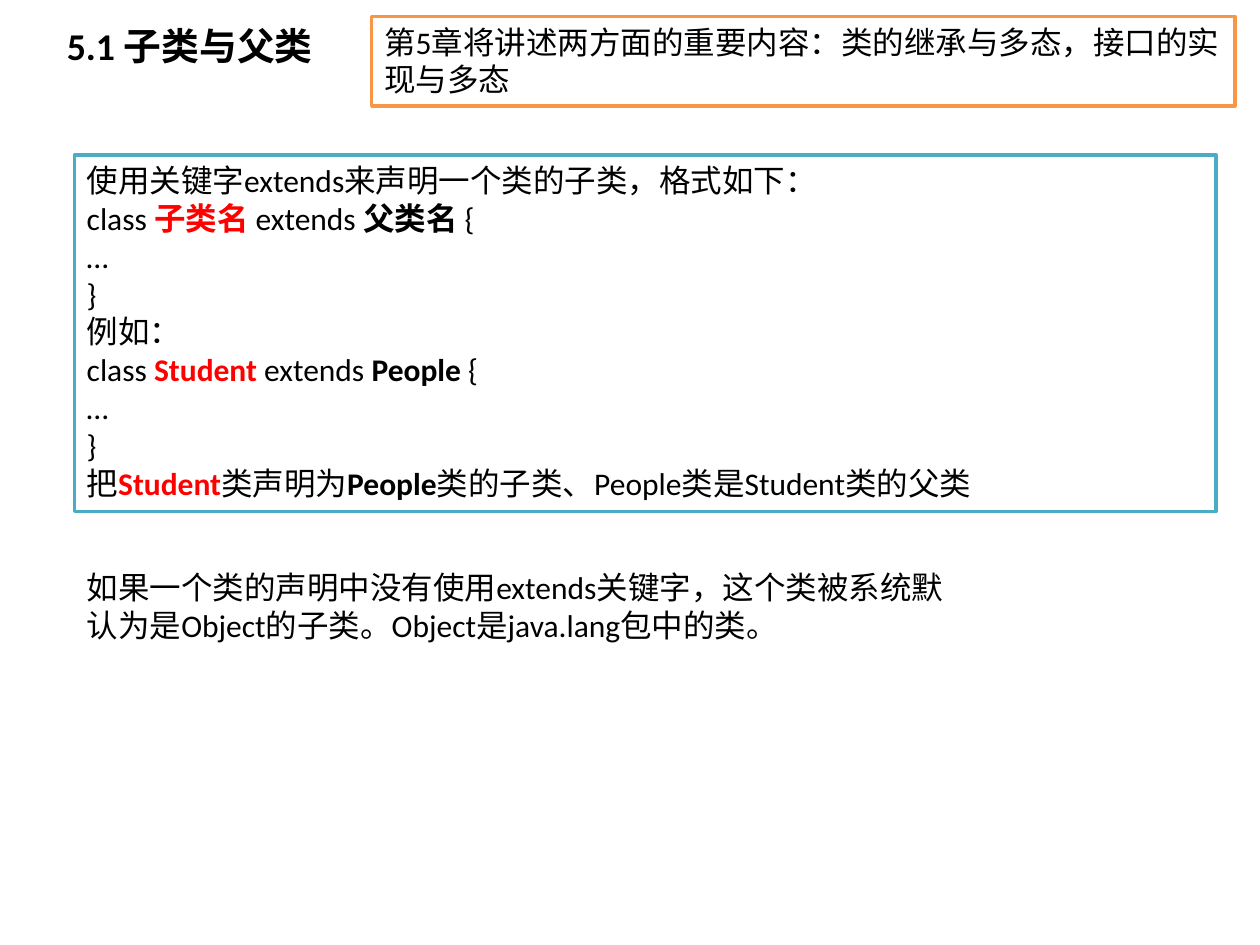
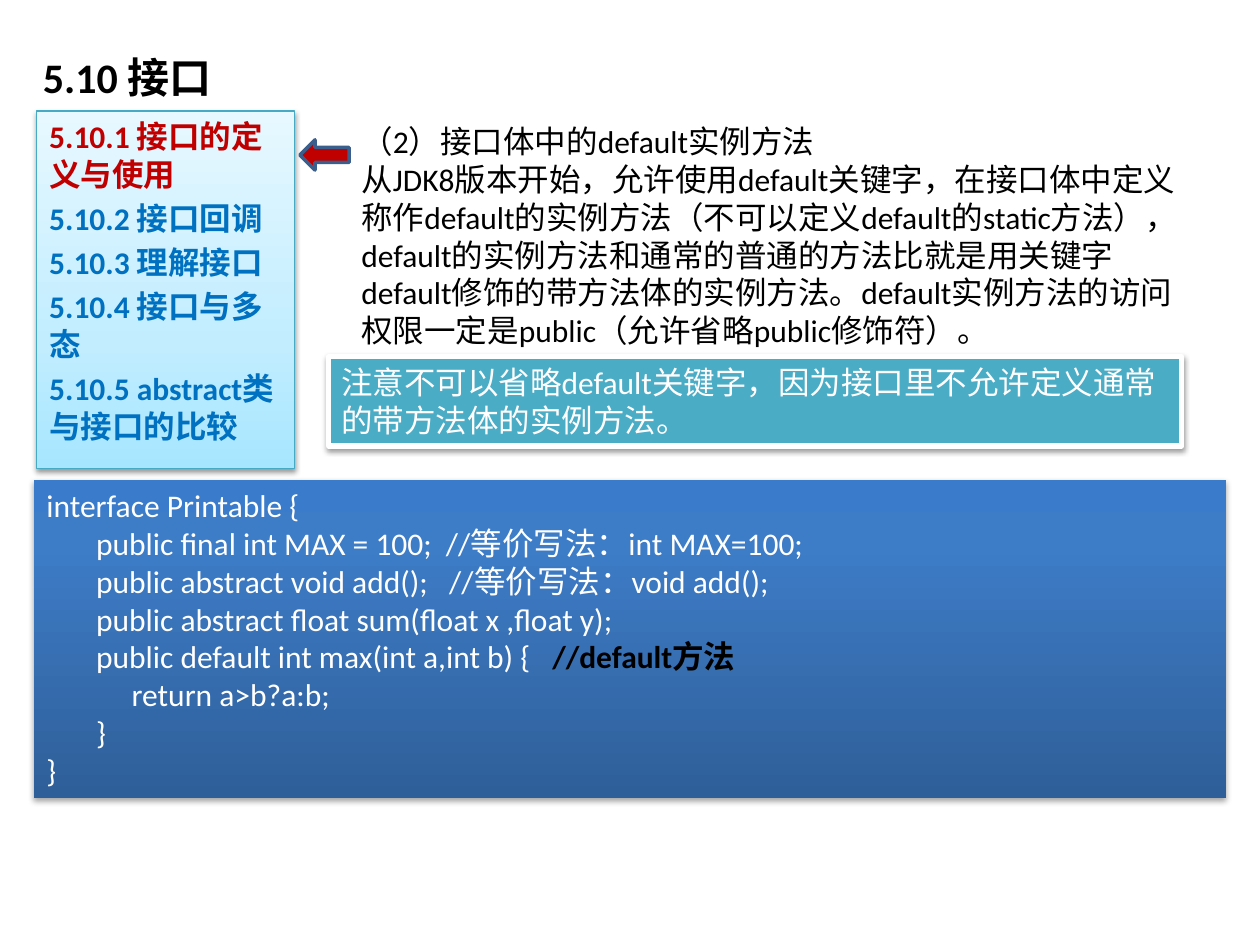
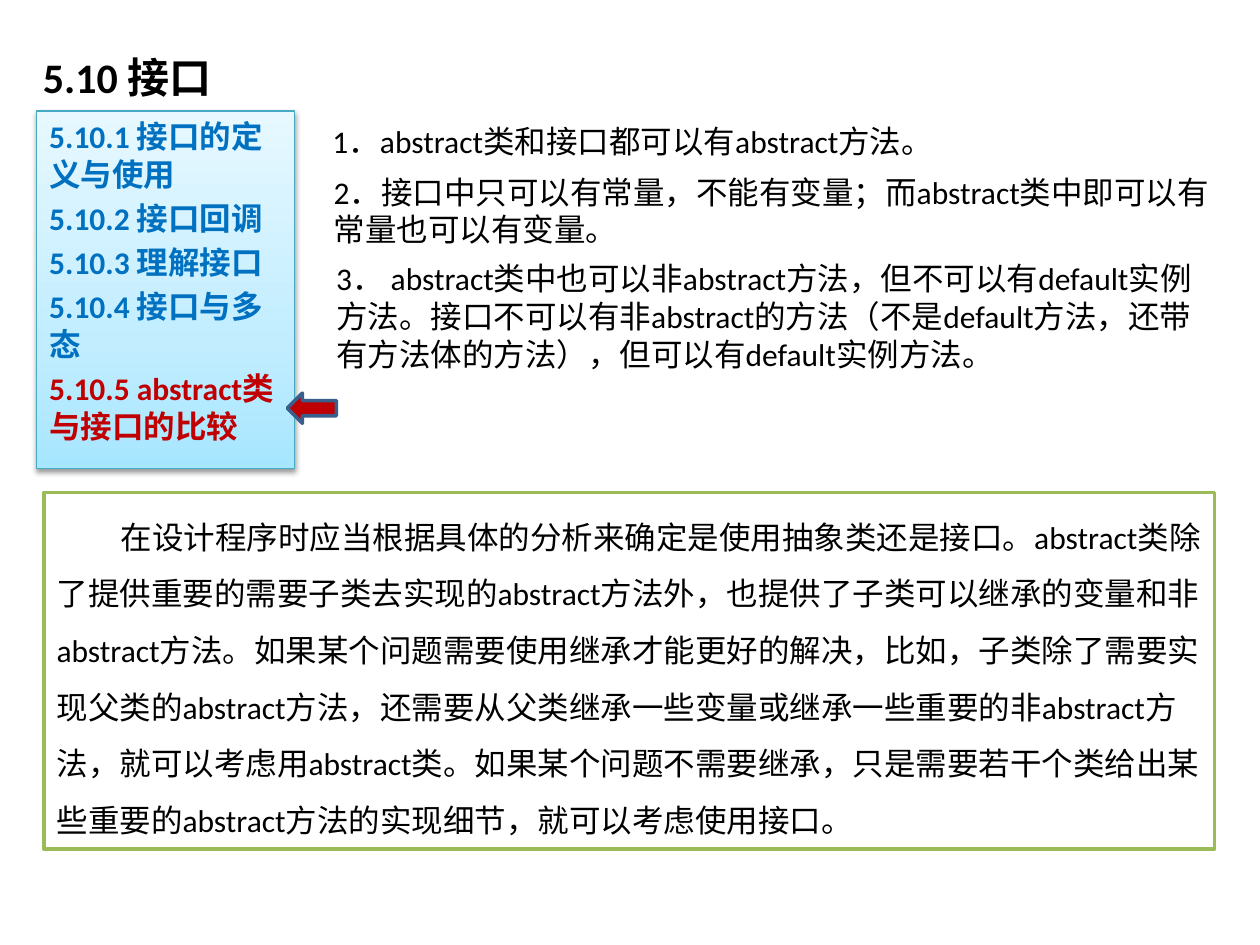
from collections import namedtuple

from lxml import etree
from pptx import Presentation
from pptx.dml.color import RGBColor
from pptx.enum.shapes import MSO_SHAPE as SHAPE
from pptx.enum.text import MSO_ANCHOR as ANCHOR, MSO_AUTO_SIZE as AUTO_SIZE, PP_ALIGN as ALIGN
from pptx.oxml.ns import qn
from pptx.util import Emu, Inches, Pt

COLUMNS, ROWS = 100, 75
CELL = Inches(10) // COLUMNS
FONT = "Calibri"
BODY_SIZE = 18
BLACK, WHITE, RED = "000000", "FFFFFF", "FF0000"
DARK_RED, BLUE, NAVY = "C00000", "0070C0", "3A5F8C"
ORANGE, TEAL, GREEN = "F79646", "4BACC6", "9BBB59"
ICE = [(0, "A7E6FF"), (35, "C1EDFF"), (100, "E7F8FF")]
OCEAN = [(0, "2F5F99"), (80, "3D7CC7"), (100, "3A7CCB")]
OUTLINE = ["5.10.1 接口的定义与使用", "5.10.2 接口回调", "5.10.3 理解接口",
           "5.10.4 接口与多态", "5.10.5 abstract类与接口的比较"]

# Boxes are measured in grid columns and rows.
Box = namedtuple("Box", "column row width height")


def color(hex_string):
    return RGBColor.from_string(hex_string)


def grid(cells):
    return Emu(round(cells * CELL))


def place(shape, box):
    shape.left, shape.top, shape.width, shape.height = map(grid, box)


def add_child(parent, tag, **attributes):
    child = etree.SubElement(parent, qn(tag))
    for name, value in attributes.items():
        child.set(name, str(value))
    return child


def paint(shape, fill, line=None, width=2):
    """Fill with a hex colour or a list of (percent, hex) stops running upwards."""
    if isinstance(fill, str):
        shape.fill.solid()
        shape.fill.fore_color.rgb = color(fill)
    else:
        shape.fill.gradient()
        shape.fill.gradient_angle = 90
        stops = shape._element.spPr.find(qn("a:gradFill")).find(qn("a:gsLst"))
        for stop in list(stops):
            stops.remove(stop)
        for percent, hex_string in fill:
            stop = add_child(stops, "a:gs", pos=percent * 1000)
            add_child(stop, "a:srgbClr", val=hex_string)
    if line:
        shape.line.color.rgb = color(line)
        shape.line.width = Pt(width)
    else:
        shape.line.fill.background()
    shape.shadow.inherit = False


def drop_shadow(shape, opacity=38, distance=1.6):
    effects = shape._element.spPr.find(qn("a:effectLst"))
    shadow = add_child(effects, "a:outerShdw", blurRad=Pt(3.1), dist=Pt(distance),
                       dir=90 * 60000, rotWithShape=0)
    tint = add_child(shadow, "a:srgbClr", val=BLACK)
    add_child(tint, "a:alpha", val=opacity * 1000)


def style(span, hex_string, size=BODY_SIZE, bold=False):
    span.font.name = FONT
    span.font.size = Pt(size)
    span.font.bold = bold
    span.font.color.rgb = color(hex_string)


def write(frame, lines, hex_string=BLACK):
    """Write lines; each is a string or a list of strings and bold (text, colour) pairs."""
    frame.word_wrap = True
    frame.vertical_anchor = ANCHOR.TOP
    frame.auto_size = AUTO_SIZE.SHAPE_TO_FIT_TEXT
    for index, line in enumerate(lines):
        para = frame.add_paragraph() if index else frame.paragraphs[0]
        para.alignment = ALIGN.LEFT
        for part in [line] if isinstance(line, str) else line:
            bold = not isinstance(part, str)
            text, tone = part if bold else (part, hex_string)
            span = para.add_run()
            span.text = text
            style(span, tone, bold=bold)


def add_text(page, box, *lines):
    area = page.shapes.add_textbox(*map(grid, box))
    write(area.text_frame, lines)


def add_panel(page, box, lines, fill=WHITE, line=None, width=2, text_color=BLACK):
    panel = page.shapes.add_shape(SHAPE.RECTANGLE, *map(grid, box))
    paint(panel, fill, line, width)
    write(panel.text_frame, lines, text_color)
    return panel


def set_title(page, box, text, size, bottom_margin=0.5):
    title = page.shapes.title
    place(title, box)
    frame = title.text_frame
    frame.text = text
    frame.vertical_anchor = ANCHOR.BOTTOM
    frame.margin_bottom = grid(bottom_margin)
    frame.paragraphs[0].alignment = ALIGN.LEFT
    style(frame.paragraphs[0].runs[0], BLACK, size, bold=True)


def add_outline(page, box, current, arrow_offset):
    """List the sections, with an arrow placed from the box's top right corner."""
    outline = page.placeholders[1]
    place(outline, box)
    paint(outline, ICE, "46AAC5", 0.75)
    drop_shadow(outline)
    frame = outline.text_frame
    frame.text = "\n".join(OUTLINE)
    frame.auto_size = AUTO_SIZE.NONE
    for index, para in enumerate(frame.paragraphs):
        properties = para._p.get_or_add_pPr()
        properties.set("marL", "0")
        properties.set("indent", "0")
        add_child(properties, "a:buNone")
        style(para.runs[0], DARK_RED if index == current else BLUE, bold=True)
    frame.paragraphs[0].space_before = Pt(0)

    across, down = arrow_offset
    arrow_box = Box(box.column + box.width + across, box.row + down, 3.9, 2.4)
    arrow = page.shapes.add_shape(SHAPE.LEFT_ARROW, *map(grid, arrow_box))
    paint(arrow, DARK_RED, NAVY)


def add_interface_page(deck, current, arrow_offset):
    page = deck.slides.add_slide(deck.slide_layouts[1])
    set_title(page, Box(2.4, 2, 44.9, 6.6), "5.10 接口", 24)
    add_outline(page, Box(2.9, 8.8, 20.5, 28.4), current, arrow_offset)
    return page


def build_subclass_page(deck):
    page = deck.slides.add_slide(deck.slide_layouts[5])
    set_title(page, Box(4.3, 0.2, 59.5, 12.7), "5.1 子类与父类", 21.6, bottom_margin=7.5)
    add_panel(page, Box(29.5, 1.3, 68.5, 7.1),
              ["第5章将讲述两方面的重要内容：类的继承与多态，接口的实现与多态"], line=ORANGE)
    add_panel(page, Box(5.9, 12.3, 90.6, 28.3), [
        "使用关键字extends来声明一个类的子类，格式如下：",
        ["class ", ("子类名", RED), " extends ", ("父类名 ", BLACK), "{"],
        "…",
        "}",
        "例如：",
        ["class ", ("Student", RED), " extends ", ("People", BLACK), " {"],
        "…",
        "}",
        ["把", ("Student", RED), "类声明为", ("People", BLACK),
         "类的子类、People类是Student类的父类"],
    ], line=TEAL)
    add_text(page, Box(5.9, 44.6, 70.9, 7.1),
             "如果一个类的声明中没有使用extends关键字，这个类被系统默认为是Object的子类。"
             "Object是java.lang包中的类。")


def build_default_method_page(deck):
    page = add_interface_page(deck, current=0, arrow_offset=(0.4, 2.3))
    add_text(page, Box(27.7, 9.2, 68, 19.2),
             "（2）接口体中的default实例方法",
             "从JDK8版本开始，允许使用default关键字，在接口体中定义称作default的实例方法"
             "（不可以定义default的static方法），default的实例方法和通常的普通的方法比就是用"
             "关键字default修饰的带方法体的实例方法。default实例方法的访问权限一定是public"
             "（允许省略public修饰符）。")
    note = add_panel(page, Box(26.1, 28.3, 67.7, 7.1),
                     ["注意不可以省略default关键字，因为接口里不允许定义通常的带方法体的实例方法。"],
                     TEAL, WHITE, 3, WHITE)
    drop_shadow(note)
    code = add_panel(page, Box(2.7, 38.1, 94.6, 25.2), [
        "interface Printable {",
        "       public final int MAX = 100;  //等价写法：int MAX=100;",
        "       public abstract void add();   //等价写法：void add();",
        "       public abstract float sum(float x ,float y);",
        ["       public default int max(int a,int b) {   ", ("//default方法", BLACK)],
        "            return a>b?a:b;",
        "       }",
        "}",
    ], OCEAN, text_color=WHITE)
    drop_shadow(code, opacity=35, distance=1.8)


def build_comparison_page(deck):
    page = add_interface_page(deck, current=4, arrow_offset=(-0.6, 22.4))
    add_text(page, Box(25.4, 9.2, 69.9, 4), "1．abstract类和接口都可以有abstract方法。")
    add_text(page, Box(25.5, 13.2, 72.5, 7.1),
             "2．接口中只可以有常量，不能有变量；而abstract类中即可以有常量也可以有变量。")
    add_text(page, Box(25.7, 20.1, 70.7, 10.1),
             "3． abstract类中也可以非abstract方法，但不可以有default实例方法。"
             "接口不可以有非abstract的方法（不是default方法，还带有方法体的方法），"
             "但可以有default实例方法。")
    advice = add_panel(page, Box(3.5, 39.1, 92.9, 28.3), [
        "在设计程序时应当根据具体的分析来确定是使用抽象类还是接口。"
        "abstract类除了提供重要的需要子类去实现的abstract方法外，"
        "也提供了子类可以继承的变量和非abstract方法。"
        "如果某个问题需要使用继承才能更好的解决，比如，子类除了需要实现父类的abstract方法，"
        "还需要从父类继承一些变量或继承一些重要的非abstract方法，就可以考虑用abstract类。"
        "如果某个问题不需要继承，只是需要若干个类给出某些重要的abstract方法的实现细节，"
        "就可以考虑使用接口。"], line=GREEN)
    para = advice.text_frame.paragraphs[0]
    para.line_spacing = 1.5
    para._p.get_or_add_pPr().set("indent", str(grid(5.1)))


def main():
    deck = Presentation()
    deck.slide_width, deck.slide_height = COLUMNS * CELL, ROWS * CELL
    build_subclass_page(deck)
    build_default_method_page(deck)
    build_comparison_page(deck)
    deck.save("out.pptx")


if __name__ == "__main__":
    main()
